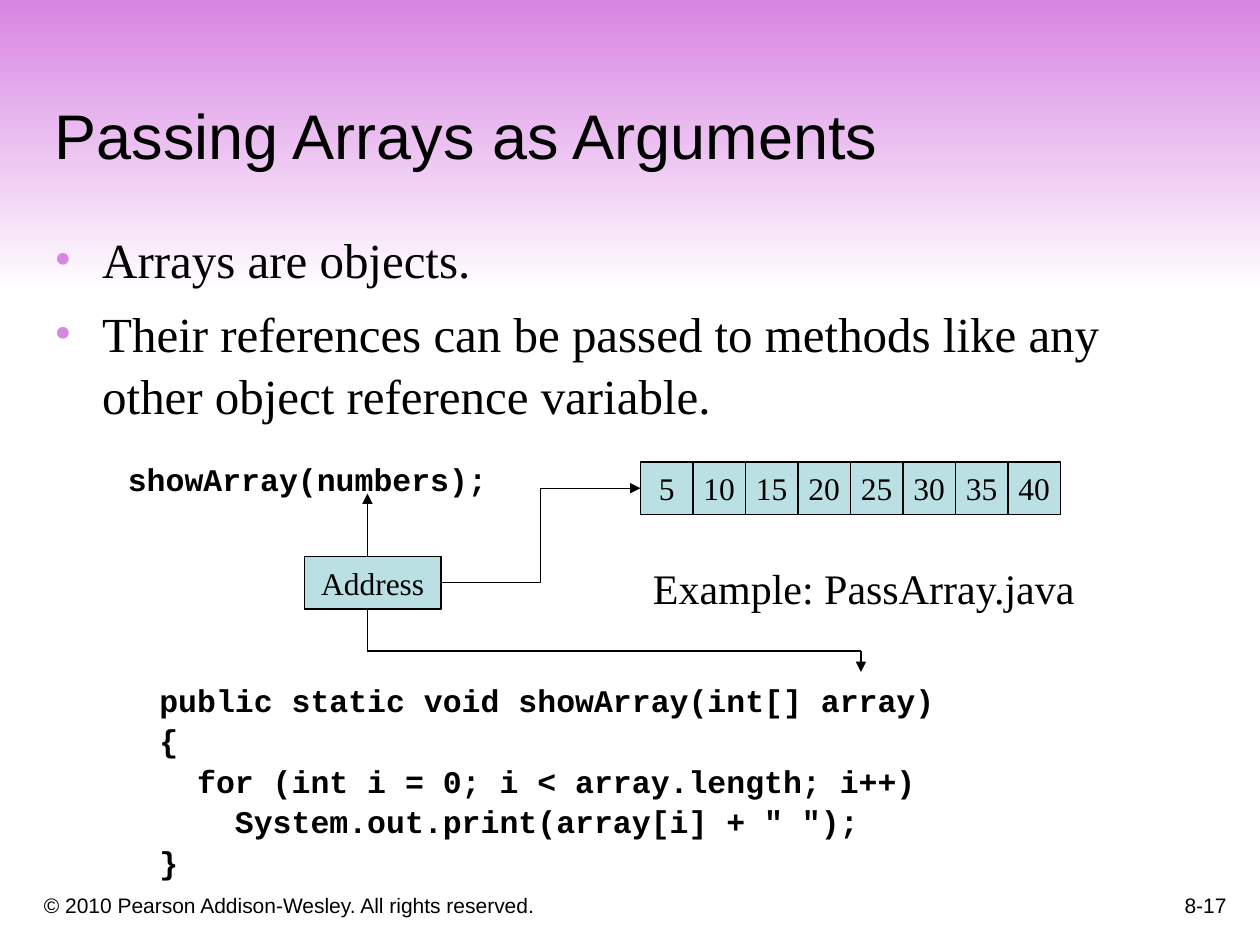
from lxml import etree
from pptx import Presentation
from pptx.dml.color import RGBColor
from pptx.enum.shapes import MSO_CONNECTOR, MSO_SHAPE
from pptx.enum.text import MSO_ANCHOR, MSO_AUTO_SIZE, PP_ALIGN
from pptx.oxml.ns import qn
from pptx.util import Inches, Pt

LEFT, CENTER, RIGHT = PP_ALIGN.LEFT, PP_ALIGN.CENTER, PP_ALIGN.RIGHT
TOP, MIDDLE, BOTTOM = MSO_ANCHOR.TOP, MSO_ANCHOR.MIDDLE, MSO_ANCHOR.BOTTOM
RECTANGLE = MSO_SHAPE.RECTANGLE
STRAIGHT, ELBOW = MSO_CONNECTOR.STRAIGHT, MSO_CONNECTOR.ELBOW
LEFT_SIDE, RIGHT_SIDE = 1, 3

BLACK = RGBColor(0x00, 0x00, 0x00)
WHITE = RGBColor(0xFF, 0xFF, 0xFF)
ORCHID = RGBColor(0xD8, 0x85, 0xE3)
PALE_TEAL = RGBColor(0xBB, 0xE0, 0xE3)

# Content
TITLE = "Passing Arrays as Arguments"
BULLETS = [
    "Arrays are objects.",
    "Their references can be passed to methods like any other object reference variable.",
]
NUMBERS = [5, 10, 15, 20, 25, 30, 35, 40]
CALL = ["showArray(numbers);"]
METHOD = [
    "public static void showArray(int[] array)",
    "{",
    "  for (int i = 0; i < array.length; i++)",
    '    System.out.print(array[i] + " ");',
    "}",
]
EXAMPLE = ["Example: PassArray.java"]
COPYRIGHT = ["© 2010 Pearson Addison-Wesley. All rights reserved."]
PAGE_NUMBER = ["8-17"]

# Text formats
HEADING = {"name": "Arial", "size": Pt(36)}
BODY = {"name": "Times New Roman", "size": Pt(28)}
NOTE = {"name": "Times New Roman", "size": Pt(24)}
LABEL = {"name": "Times New Roman", "size": Pt(18)}
CODE = {"name": "Courier New", "size": Pt(18), "bold": True}
FOOTER = {"name": "Arial", "size": Pt(12)}

# Grid: 120 columns by 90 rows, twelve to the inch
COLUMNS, ROWS = 120, 90
UNIT = Inches(1) // 12
CELL = 5
ARRAY_LEFT, ARRAY_TOP = 61, 44
ADDRESS_BOX = (29, 53, 13, CELL)
# Text boxes: lines, grid box, format, alignment, anchor, line spacing
TEXTS = [
    (CALL, (11, 43, 37, 5), CODE, LEFT, TOP, 1.07),
    (METHOD, (14, 64, 77, 20), CODE, LEFT, TOP, 1.07),
    (EXAMPLE, (61, 53, 44, 6), NOTE, LEFT, TOP, 1),
    (COPYRIGHT, (3, 83, 73, 5), FOOTER, LEFT, BOTTOM, 1),
    (PAGE_NUMBER, (93, 82, 25, 6), FOOTER, RIGHT, BOTTOM, 1),
]
# Straight lines: start, end, arrowhead
LINES = [
    ((35, 53), (35, 47), True),
    ((35, 58), (35, 62), False),
    ((35, 62), (82, 62), False),
    ((82, 62), (82, 64), True),
]


def grid(*values):
    return [int(value * UNIT) for value in values]


def write(shape, lines, font, alignment=LEFT, anchor=TOP, spacing=1):
    frame = shape.text_frame
    frame.word_wrap = True
    frame.auto_size = MSO_AUTO_SIZE.NONE
    frame.vertical_anchor = anchor
    for index, line in enumerate(lines):
        paragraph = frame.add_paragraph() if index else frame.paragraphs[0]
        paragraph.alignment = alignment
        paragraph.line_spacing = spacing
        run = paragraph.add_run()
        run.text = line
        run.font.color.rgb = BLACK
        for name, value in font.items():
            setattr(run.font, name, value)
    return frame


def add_box(slide, box, text):
    shape = slide.shapes.add_shape(RECTANGLE, *grid(*box))
    shape.shadow.inherit = False
    shape.fill.solid()
    shape.fill.fore_color.rgb = PALE_TEAL
    shape.line.color.rgb = BLACK
    shape.line.width = Pt(0.75)
    write(shape, [text], LABEL, CENTER, MIDDLE).word_wrap = False
    return shape


def add_line(slide, kind, start, end, arrow):
    connector = slide.shapes.add_connector(kind, *grid(*start, *end))
    connector.line.color.rgb = BLACK
    connector.line.width = Pt(0.75)
    properties = connector._element.spPr
    if arrow:
        outline = properties.find(qn("a:ln"))
        etree.SubElement(outline, qn("a:tailEnd"), type="triangle")
    etree.SubElement(properties, qn("a:effectLst"))
    return connector


def add_bullet(paragraph):
    properties = paragraph._p.get_or_add_pPr()
    properties.set("marL", str(Inches(0.38)))
    properties.set("indent", str(-Inches(0.38)))
    color = etree.SubElement(properties, qn("a:buClr"))
    etree.SubElement(color, qn("a:srgbClr"), val=str(ORCHID))
    etree.SubElement(properties, qn("a:buFont"), typeface="Times New Roman")
    etree.SubElement(properties, qn("a:buChar"), char="•")


def main():
    presentation = Presentation()
    presentation.slide_width, presentation.slide_height = grid(COLUMNS, ROWS)
    slide = presentation.slides.add_slide(presentation.slide_layouts[5])

    # Gradient band behind the title
    band = slide.shapes.add_shape(RECTANGLE, *grid(0, 0, COLUMNS, 28))
    band.shadow.inherit = False
    band.line.fill.background()
    band.fill.gradient()
    band.fill.gradient_angle = 270
    for stop, color in zip(band.fill.gradient_stops, (ORCHID, WHITE)):
        stop.color.rgb = color
    slide.shapes._spTree.insert(2, band._element)

    # Title and bullets
    title = slide.shapes.title
    title.left, title.top, title.width, title.height = grid(4, 4, 113, 13)
    write(title, [TITLE], HEADING, anchor=BOTTOM)
    body = slide.shapes.add_textbox(*grid(4, 21, 109, 25))
    frame = write(body, BULLETS, BODY, spacing=1.05)
    frame.margin_right = 0
    for index, paragraph in enumerate(frame.paragraphs):
        if index:
            paragraph.space_before = Pt(7)
        add_bullet(paragraph)

    # Array cells and the address that refers to them
    cells = [
        add_box(slide, (ARRAY_LEFT + index * CELL, ARRAY_TOP, CELL, CELL), str(number))
        for index, number in enumerate(NUMBERS)
    ]
    address = add_box(slide, ADDRESS_BOX, "Address")
    reference = add_line(slide, ELBOW, (42, 55.5), (61, 46.5), True)
    reference.begin_connect(address, RIGHT_SIDE)
    reference.end_connect(cells[0], LEFT_SIDE)

    # Arrows to the argument and the parameter
    for start, end, arrow in LINES:
        add_line(slide, STRAIGHT, start, end, arrow)

    # Code, example and footer
    for lines, box, *style in TEXTS:
        write(slide.shapes.add_textbox(*grid(*box)), lines, *style)

    presentation.save("out.pptx")


if __name__ == "__main__":
    main()
